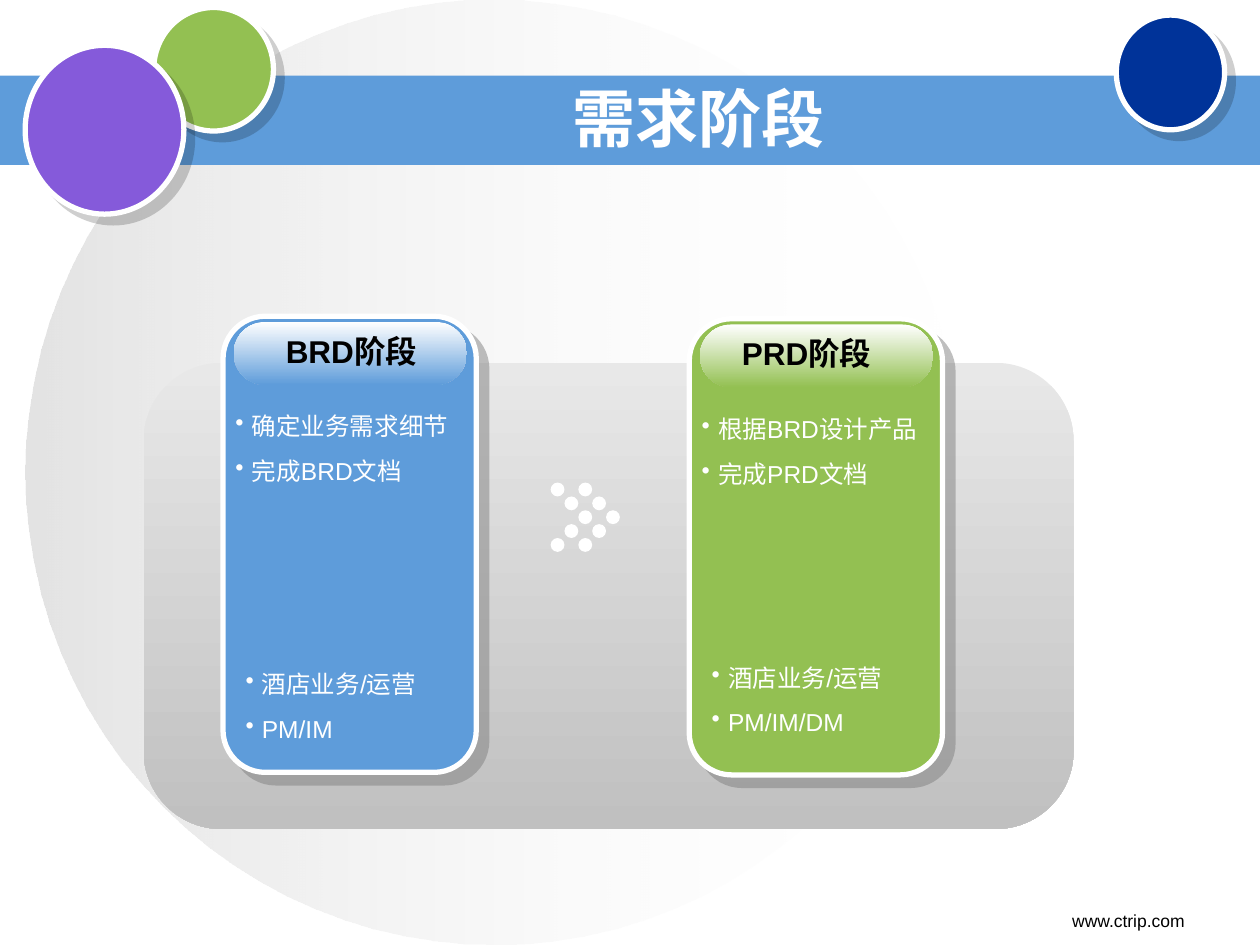
from lxml import etree
from pptx import Presentation
from pptx.dml.color import RGBColor
from pptx.enum.shapes import MSO_SHAPE
from pptx.enum.text import MSO_ANCHOR, MSO_AUTO_SIZE, PP_ALIGN
from pptx.oxml.ns import qn
from pptx.util import Inches, Pt

OVAL = MSO_SHAPE.OVAL
RECTANGLE = MSO_SHAPE.RECTANGLE
ROUNDED = MSO_SHAPE.ROUNDED_RECTANGLE
LEFT, CENTER, RIGHT = PP_ALIGN.LEFT, PP_ALIGN.CENTER, PP_ALIGN.RIGHT
TOP, MIDDLE = MSO_ANCHOR.TOP, MSO_ANCHOR.MIDDLE
GROW = MSO_AUTO_SIZE.SHAPE_TO_FIT_TEXT

COLUMNS, ROWS = 100, 75
WIDTH, HEIGHT = Inches(10), Inches(7.5)
FONT = "Arial"
WHITE, BLACK, SILVER = "FFFFFF", "000000", "C0C0C0"
BLUE, GREEN, NAVY, PURPLE = "5E9CDA", "93C052", "003399", "855ADA"

CIRCLES = [
    ((12.2, 0.6, 9.5, 9.8), GREEN),
    ((88.6, 1.2, 8.6, 9.1), NAVY),
    ((2, 3.6, 12.6, 13.4), PURPLE),
]

# left, top, colour, heading, heading indent, tasks, tasks height, roles, roles top
CARDS = [
    (54.7, 25.3, GREEN, "PRD阶段", 3.2,
     ["根据BRD设计产品", "完成PRD文档"], 9.2, ["酒店业务/运营", "PM/IM/DM"], 52.1),
    (17.7, 25.1, BLUE, "BRD阶段", 4,
     ["确定业务需求细节", "完成BRD文档"], 6.9, ["酒店业务/运营", "PM/IM"], 52.6),
]


def color(hex_value):
    return RGBColor.from_string(hex_value)


def place(left, top, width, height):
    """Turn grid columns and rows into slide lengths."""
    return (int(left * WIDTH / COLUMNS), int(top * HEIGHT / ROWS),
            int(width * WIDTH / COLUMNS), int(height * HEIGHT / ROWS))


def add_alpha(color_element, percent):
    etree.SubElement(color_element, qn("a:alpha"), val=str(percent * 1000))


def add_plain(slide, kind, box, fill=None, outlined=False):
    shape = slide.shapes.add_shape(kind, *place(*box))
    shape.shadow.inherit = False
    if fill:
        shape.fill.solid()
        shape.fill.fore_color.rgb = color(fill)
    if outlined:
        shape.line.color.rgb = color(WHITE)
        shape.line.width = Pt(3)
    else:
        shape.line.fill.background()
    return shape


def add_gradient(slide, kind, box, stops, angle=270, alphas=None):
    shape = add_plain(slide, kind, box)
    shape.fill.gradient()
    shape.fill.gradient_angle = angle
    for stop, hex_value in zip(shape.fill.gradient_stops, stops):
        stop.color.rgb = color(hex_value)
    if alphas:
        fill_colors = shape.element.spPr.find(qn("a:gradFill")).iter(qn("a:srgbClr"))
        for element, alpha in zip(list(fill_colors), alphas):
            add_alpha(element, alpha)
    return shape


def add_shadow(shape, hex_value, alpha, distance):
    """Cast a hard shadow to the lower right."""
    effects = shape.element.spPr.find(qn("a:effectLst"))
    shadow = etree.SubElement(effects, qn("a:outerShdw"), blurRad="0",
                              dist=str(Pt(distance)), dir="2700000",
                              algn="ctr", rotWithShape="0")
    add_alpha(etree.SubElement(shadow, qn("a:srgbClr"), val=hex_value), alpha)


def add_bullet(paragraph):
    properties = paragraph._p.get_or_add_pPr()
    properties.set("marL", str(Inches(0.13)))
    properties.set("indent", str(-Inches(0.13)))
    bullet_color = etree.SubElement(properties, qn("a:buClr"))
    etree.SubElement(bullet_color, qn("a:srgbClr"), val=WHITE)
    etree.SubElement(properties, qn("a:buChar"), char="•")


def add_text(slide, box, lines, size, hex_value, bold=False, align=LEFT,
             anchor=TOP, bullets=False, grow=False):
    frame = slide.shapes.add_textbox(*place(*box)).text_frame
    frame.word_wrap = True
    frame.vertical_anchor = anchor
    if grow:
        frame.auto_size = GROW
    for index, line in enumerate(lines):
        paragraph = frame.add_paragraph() if index else frame.paragraphs[0]
        paragraph.alignment = align
        if bullets:
            add_bullet(paragraph)
        if index:
            paragraph.space_before = Pt(8.8)
        run = paragraph.add_run()
        run.text = line
        run.font.name = FONT
        run.font.size = Pt(size)
        run.font.bold = bold
        run.font.color.rgb = color(hex_value)


def add_backdrop(slide):
    add_gradient(slide, OVAL, (2, 0, 74.4, 75), (SILVER, WHITE), 0, (44, 0))
    add_plain(slide, RECTANGLE, (0, 6, COLUMNS, 7.1), BLUE)
    for box, fill in CIRCLES:
        add_shadow(add_plain(slide, OVAL, box, fill, outlined=True), BLACK, 19, 7.1)


def add_card(slide, left, top, fill, heading, heading_indent,
             tasks, tasks_height, roles, roles_top):
    card = add_plain(slide, ROUNDED, (left, top, 20.1, 36.2), fill, outlined=True)
    card.adjustments[0] = 0.167
    add_shadow(card, "808080", 50, 8.5)
    cap = add_gradient(slide, ROUNDED, (left + 0.85, top + 0.45, 18.5, 5), (WHITE, fill))
    cap.adjustments[0] = 0.5
    add_text(slide, (left + heading_indent, top + 0.75, 17, 4), [heading], 18, BLACK,
             bold=True, grow=True)
    add_text(slide, (left, top + 7.05, 19.2, tasks_height), tasks, 14, WHITE,
             bullets=True, grow=True)
    add_text(slide, (left + 0.8, roles_top, 19.2, 6.9), roles, 14, WHITE,
             bullets=True, grow=True)


def add_dotted_arrow(slide, left, top, pitch=1.1):
    """Draw two chevrons of dots that point right."""
    for chevron in range(2):
        for row in range(5):
            column = 2 * chevron + 2 - abs(row - 2)
            add_plain(slide, OVAL, (left + column * pitch, top + row * pitch, 1.1, 1.1),
                      WHITE)


def main():
    presentation = Presentation()
    presentation.slide_width, presentation.slide_height = WIDTH, HEIGHT
    slide = presentation.slides.add_slide(presentation.slide_layouts[6])
    add_backdrop(slide)
    add_text(slide, (71.7, 71.7, 23.3, 2.7), ["www.ctrip.com"], 10, BLACK, align=RIGHT)
    add_text(slide, (22.5, 6.7, 65.8, 5.3), ["需求阶段"], 36, WHITE, bold=True,
             align=CENTER, anchor=MIDDLE)
    panel = add_gradient(slide, ROUNDED, (11.4, 28.8, 73.8, 37), ("E8E8E8", SILVER))
    panel.adjustments[0] = 0.167
    for card in CARDS:
        add_card(slide, *card)
    add_dotted_arrow(slide, 43.7, 38.3)
    presentation.save("out.pptx")


if __name__ == "__main__":
    main()
